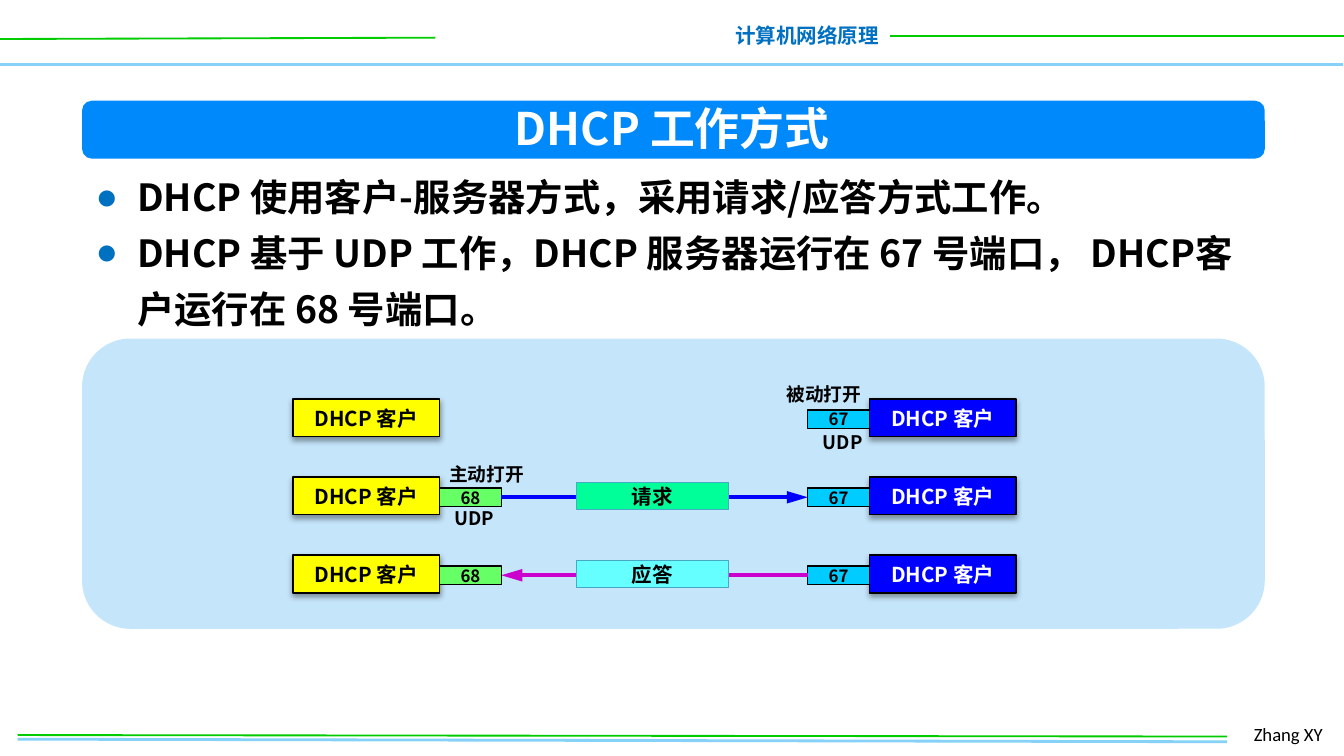
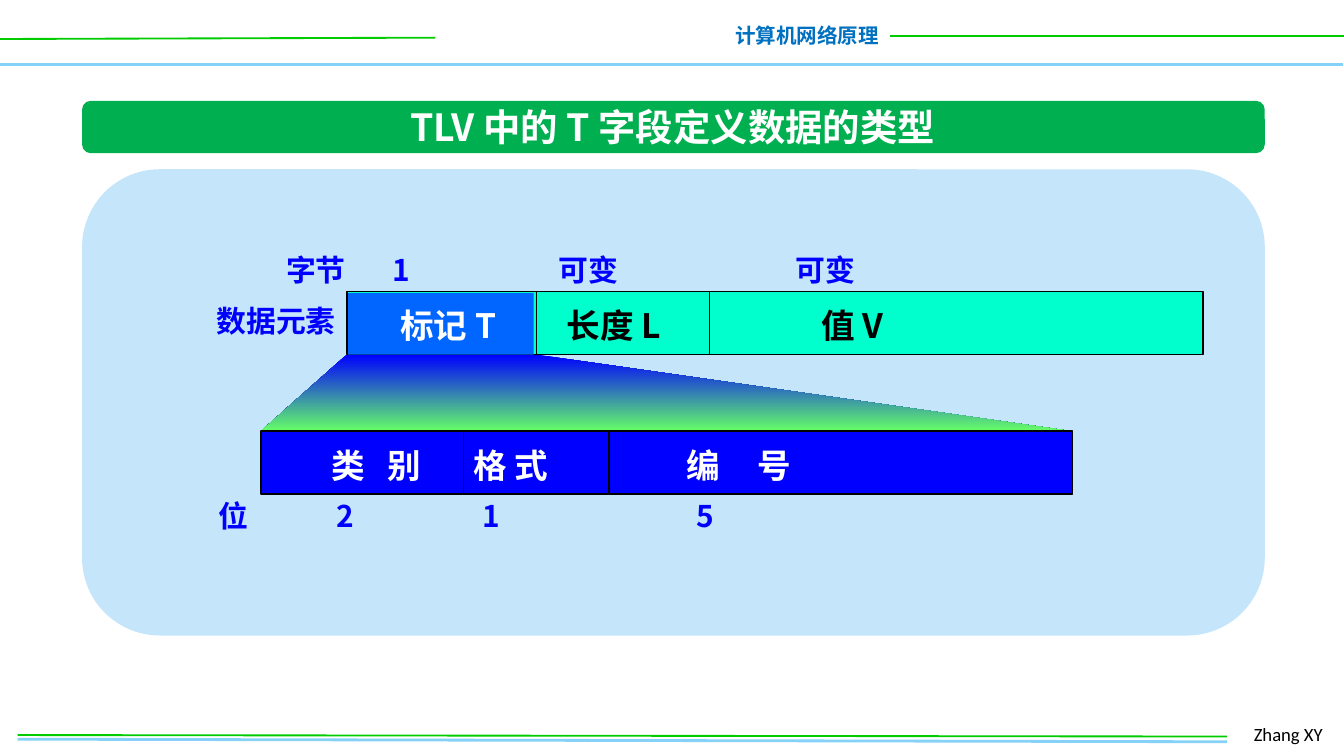
"""Builds two computer network slides: how DHCP works and the T field of TLV."""
from lxml import etree
from pptx import Presentation
from pptx import util as u
from pptx.dml.color import RGBColor
from pptx.enum import shapes, text
from pptx.oxml import ns

BLACK = RGBColor(0x00, 0x00, 0x00)
WHITE = RGBColor(0xFF, 0xFF, 0xFF)
SKY = RGBColor(0x85, 0xD1, 0xF7)
GREEN = RGBColor(0x00, 0xCC, 0x00)
HEADER_BLUE = RGBColor(0x00, 0x70, 0xC0)
PANEL_BLUE = RGBColor(0xC5, 0xE5, 0xFB)
BANNER_BLUE = RGBColor(0x00, 0x89, 0xFA)
BANNER_GREEN = RGBColor(0x00, 0xB0, 0x50)
YELLOW = RGBColor(0xFF, 0xFF, 0x00)
BLUE = RGBColor(0x00, 0x00, 0xFF)
CYAN = RGBColor(0x00, 0xCC, 0xFF)
LIME = RGBColor(0x66, 0xFF, 0x66)
MINT = RGBColor(0x00, 0xFF, 0x99)
AQUA = RGBColor(0x66, 0xFF, 0xFF)
TEAL = RGBColor(0x46, 0xAA, 0xC5)
PURPLE = RGBColor(0xCC, 0x00, 0xCC)
TURQUOISE = RGBColor(0x00, 0xFF, 0xCC)
TAG_BLUE = RGBColor(0x00, 0x66, 0xFF)
CJK, LATIN = "Noto Sans CJK SC", "Calibri"

COURSE, AUTHOR = "计算机网络原理", "Zhang XY"
FRAME_RULES = [
    ((-0.7, 34.6), (719.3, 34.6), SKY, 2),
    ((0, 20.9), (233.3, 20.2), GREEN, 1),
    ((476.6, 19.4), (720.7, 19.4), GREEN, 1),
    ((9.4, 396), (657.4, 397.4), SKY, 1.5),
    ((9.4, 393.8), (657.4, 394.6), GREEN, 1),
]
BAND_LEFT, BAND_WIDTH, BANNER_TOP = 44, 633.6, 54

DHCP = {
    "title": "DHCP 工作方式", "size": 24, "title_box": (265, 50.4, 190, 36),
    "banner": (31, BANNER_BLUE), "panel": (181.4, 155.5),
}
DHCP_POINTS = [
    "DHCP 使用客户-服务器方式，采用请求/应答方式工作。",
    "DHCP 基于 UDP 工作，DHCP 服务器运行在 67 号端口， DHCP客户运行在 68 号端口。",
]
HOST = "DHCP 客户"
EXCHANGES = [
    None,
    {"message": "请求", "fill": MINT, "arrow": BLUE, "to_server": True},
    {"message": "应答", "fill": AQUA, "arrow": PURPLE, "to_server": False},
]
PORT_NOTES = [("被动打开", 411.8, 200.9), ("UDP", 421.9, 226.1),
              ("主动打开", 231.1, 243.4), ("UDP", 224.6, 267.1)]

TLV = {
    "title": "TLV 中的 T 字段定义数据的类型", "size": 20, "title_box": (205.2, 51.8, 310.3, 31.7),
    "banner": (28.1, BANNER_GREEN), "panel": (90.7, 249.8),
}
ELEMENT_BAR = (185.8, 156.2, 458.6, 33.8)
TAG_BAR = (139.7, 231.1, 434.9, 33.8)
ELEMENT_CUTS, TAG_CUTS = (287.3, 380.2), (248.4, 326.2)
BAR_TEXTS = [
    {"box": (146.2, 131, 375.8, 26.6), "size": 16, "tabs": (57, 146, 273),
     "parts": [("字节", BLUE, 0), ("1", BLUE, 0), ("可变", BLUE, 0), ("可变", BLUE, 0)]},
    {"box": (207.4, 159.8, 297.4, 28.8), "size": 18, "tabs": (89, 225.5),
     "parts": [("标记 T", WHITE, 0), ("长度 L", BLACK, 0), ("值 V", BLACK, 0)]},
    {"box": (170.6, 234.7, 308.2, 28.8), "size": 18, "tabs": (76, 190),
     "parts": [("类 别", WHITE, 4), ("格 式", WHITE, 0), ("编 号", WHITE, 8)]},
    {"box": (110.2, 262.8, 348.5, 26.6), "size": 16, "tabs": (63, 141, 256),
     "parts": [("位", BLUE, 0), ("2", BLUE, 0), ("1", BLUE, 0), ("5", BLUE, 0)]},
]


def points(*values):
    return [u.Pt(value) for value in values]


def add_node(parent, tag, **attributes):
    node = etree.SubElement(parent, ns.qn(tag))
    for key, value in attributes.items():
        node.set(key, str(value))
    return node


def set_values(target, values):
    for key, value in values.items():
        setattr(target, key, value)


def add_run(paragraph, words, size, color, face=CJK, spacing=0):
    run = paragraph.add_run()
    run.text = words
    set_values(run.font, {"size": u.Pt(size), "bold": face == CJK, "name": face})
    run.font.color.rgb = color
    properties = run.font._element
    add_node(properties, "a:ea", typeface=face)
    if spacing:
        properties.set("spc", str(spacing * 100))


def write(shape, words, size, color, align=text.PP_ALIGN.CENTER, face=CJK, **frame):
    set_values(shape.text_frame, {"word_wrap": True, "auto_size": text.MSO_AUTO_SIZE.NONE,
                                  "vertical_anchor": text.MSO_ANCHOR.MIDDLE, **frame})
    paragraph = shape.text_frame.paragraphs[0]
    paragraph.alignment = align
    if words:
        add_run(paragraph, words, size, color, face)
    return paragraph


def add_label(slide, box, words, size, color, **style):
    return write(slide.shapes.add_textbox(*points(*box)), words, size, color, **style)


def paint(shape, fill, line=None, weight=0.75):
    shape.shadow.inherit = False
    shape.fill.solid()
    shape.fill.fore_color.rgb = fill
    if line is None:
        shape.line.fill.background()
    else:
        shape.line.color.rgb = line
        shape.line.width = u.Pt(weight)


def add_box(slide, box, fill, line=None, weight=0.75, kind=shapes.MSO_SHAPE.RECTANGLE):
    shape = slide.shapes.add_shape(kind, *points(*box))
    paint(shape, fill, line, weight)
    return shape


def add_tile(slide, box, words, size, color, fill, line=BLACK):
    tile = add_box(slide, box, fill, line)
    write(tile, words, size, color, margin_left=0, margin_right=0, margin_top=0, margin_bottom=0)
    return tile


def add_rule(slide, start, end, color, weight, arrow=False):
    rule = slide.shapes.add_connector(shapes.MSO_CONNECTOR.STRAIGHT, *points(*start, *end))
    rule.line.color.rgb = color
    rule.line.width = u.Pt(weight)
    if arrow:
        add_node(rule.line._get_or_add_ln(), "a:tailEnd", type="triangle", w="med", len="lg")
    add_node(rule.element.spPr, "a:effectLst")


def cast_shadow(shape):
    effects = shape.element.spPr.find(ns.qn("a:effectLst"))
    shadow = add_node(effects, "a:outerShdw", blurRad=u.Pt(3.1), dist=u.Pt(1.6),
                      dir=5400000, rotWithShape=0)
    add_node(add_node(shadow, "a:srgbClr", val="000000"), "a:alpha", val=38000)


def add_frame(prs, slide):
    before = len(slide.shapes)
    for rule in FRAME_RULES:
        add_rule(slide, *rule)
    add_label(slide, (385.9, 8.6, 92.2, 20.9), COURSE, 11, HEADER_BLUE,
              align=text.PP_ALIGN.RIGHT, word_wrap=False)
    add_label(slide, (664.6, 383.8, 53.3, 19.4), AUTHOR, 10, BLACK,
              align=text.PP_ALIGN.LEFT, face=LATIN)
    for number, part in enumerate(list(slide.shapes)[before:], 100):
        part.element.xpath(".//p:cNvPr")[0].set("id", str(number))
        prs.slide_master.shapes.element.append(part.element)


def place(placeholder, box):
    set_values(placeholder, dict(zip(("left", "top", "width", "height"), points(*box))))


def add_heading(slide, topic):
    panel_top, panel_height = topic["panel"]
    banner_height, banner_fill = topic["banner"]
    rounded = shapes.MSO_SHAPE.ROUNDED_RECTANGLE
    bands = [(panel_top, panel_height, PANEL_BLUE), (BANNER_TOP, banner_height, banner_fill)]
    for depth, (top, height, fill) in enumerate(bands, 2):
        band = add_box(slide, (BAND_LEFT, top, BAND_WIDTH, height), fill, kind=rounded)
        slide.shapes.element.insert(depth, band.element)
    title = slide.shapes.title
    place(title, topic["title_box"])
    write(title, topic["title"], topic["size"], WHITE, word_wrap=False)


def add_points(body):
    place(body, (BAND_LEFT, 83.5, BAND_WIDTH, 97.9))
    set_values(body.text_frame, {"word_wrap": True, "auto_size": text.MSO_AUTO_SIZE.NONE,
                                 "vertical_anchor": text.MSO_ANCHOR.TOP})
    for index, point in enumerate(DHCP_POINTS):
        paragraph = body.text_frame.add_paragraph() if index else body.text_frame.paragraphs[0]
        set_values(paragraph, {"line_spacing": u.Pt(30), "space_before": u.Pt(0)})
        properties = paragraph._p.get_or_add_pPr()
        properties.set("marL", str(u.Pt(22.3)))
        properties.set("indent", str(u.Pt(-22.3)))
        add_node(add_node(properties, "a:buClr"), "a:srgbClr", val=HEADER_BLUE)
        add_node(properties, "a:buChar", char="●")
        add_run(paragraph, point, 20, BLACK)


def add_exchanges(slide):
    client_left, server_left, host_width = 157, 465.8, 78.5
    port_width, port_height = 33.1, 10.1
    client_port, server_port = client_left + host_width, server_left - port_width
    for row, exchange in enumerate(EXCHANGES):
        top = 213.8 + 41.8 * row
        for left, color, fill in ((client_left, BLACK, YELLOW), (server_left, WHITE, BLUE)):
            cast_shadow(add_tile(slide, (left, top, host_width, 20.2), HOST, 11, color, fill))
        ports = [("67", server_port, CYAN)]
        if exchange:
            ports.append(("68", client_port, LIME))
        for number, left, fill in ports:
            add_tile(slide, (left, top + 5.8, port_width, port_height), number, 9, BLACK, fill)
        if exchange:
            ends = [(client_port + port_width, top + 10.8), (server_port, top + 10.8)]
            start, end = ends if exchange["to_server"] else reversed(ends)
            add_rule(slide, start, end, exchange["arrow"], 2.25, arrow=True)
            add_tile(slide, (308.9, top + 3, 81.4, 14.4), exchange["message"], 11, BLACK,
                     exchange["fill"], TEAL)
    for note, left, top in PORT_NOTES:
        add_label(slide, (left, top, 59, 20.9), note, 10, BLACK)


def add_expansion(slide):
    left, top, width, height = ELEMENT_BAR
    tag_left, tag_top, tag_width, _ = TAG_BAR
    builder = slide.shapes.build_freeform(*points(tag_left, tag_top))
    corners = [(left, top + height), (ELEMENT_CUTS[0], top + height),
               (tag_left + tag_width, tag_top)]
    builder.add_line_segments([points(*corner) for corner in corners], close=True)
    fan = builder.convert_to_shape()
    fan.shadow.inherit = False
    fan.line.fill.background()
    fan.fill.gradient()
    fan.fill.gradient_angle = 270
    for stop, color, position in zip(fan.fill.gradient_stops, (BLUE, LIME), (0, 1)):
        stop.color.rgb = color
        stop.position = position


def add_bar(slide, bar, fill, cuts):
    _, top, _, height = bar
    add_box(slide, bar, fill, BLACK, 1)
    for cut in cuts:
        add_rule(slide, (cut, top), (cut, top + height), BLACK, 0.75)


def add_bar_text(slide, row):
    paragraph = add_label(slide, row["box"], "", row["size"], BLACK, align=text.PP_ALIGN.LEFT)
    stops = add_node(paragraph._p.get_or_add_pPr(), "a:tabLst")
    for position in row["tabs"]:
        add_node(stops, "a:tab", pos=u.Pt(position), algn="l")
    for index, (words, color, spacing) in enumerate(row["parts"]):
        if index:
            add_run(paragraph, "\t", row["size"], color)
        add_run(paragraph, words, row["size"], color, spacing=spacing)


def main():
    prs = Presentation()
    prs.slide_width, prs.slide_height = points(720, 405)

    dhcp = prs.slides.add_slide(prs.slide_layouts[1])
    add_frame(prs, dhcp)
    add_heading(dhcp, DHCP)
    add_points(dhcp.placeholders[1])
    add_exchanges(dhcp)

    tlv = prs.slides.add_slide(prs.slide_layouts[5])
    add_heading(tlv, TLV)
    add_expansion(tlv)
    add_bar(tlv, ELEMENT_BAR, TURQUOISE, ELEMENT_CUTS)
    add_box(tlv, (186.5, 157, 99.4, 33), TAG_BLUE)
    add_bar(tlv, TAG_BAR, BLUE, TAG_CUTS)
    for row in BAR_TEXTS:
        add_bar_text(tlv, row)
    add_label(tlv, (96.5, 158.4, 103, 26.6), "数据元素", 16, BLUE)
    prs.save("out.pptx")


if __name__ == "__main__":
    main()
